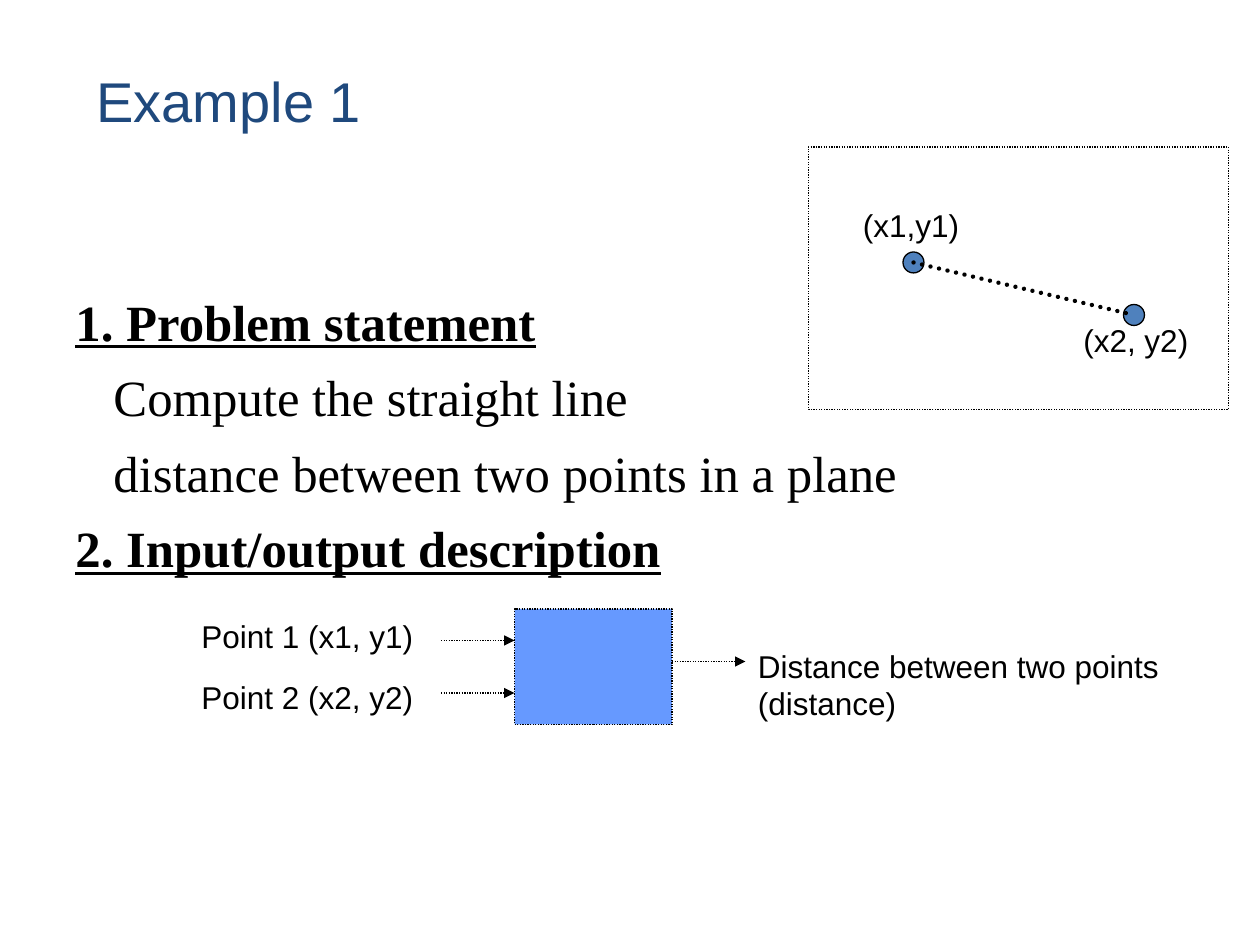
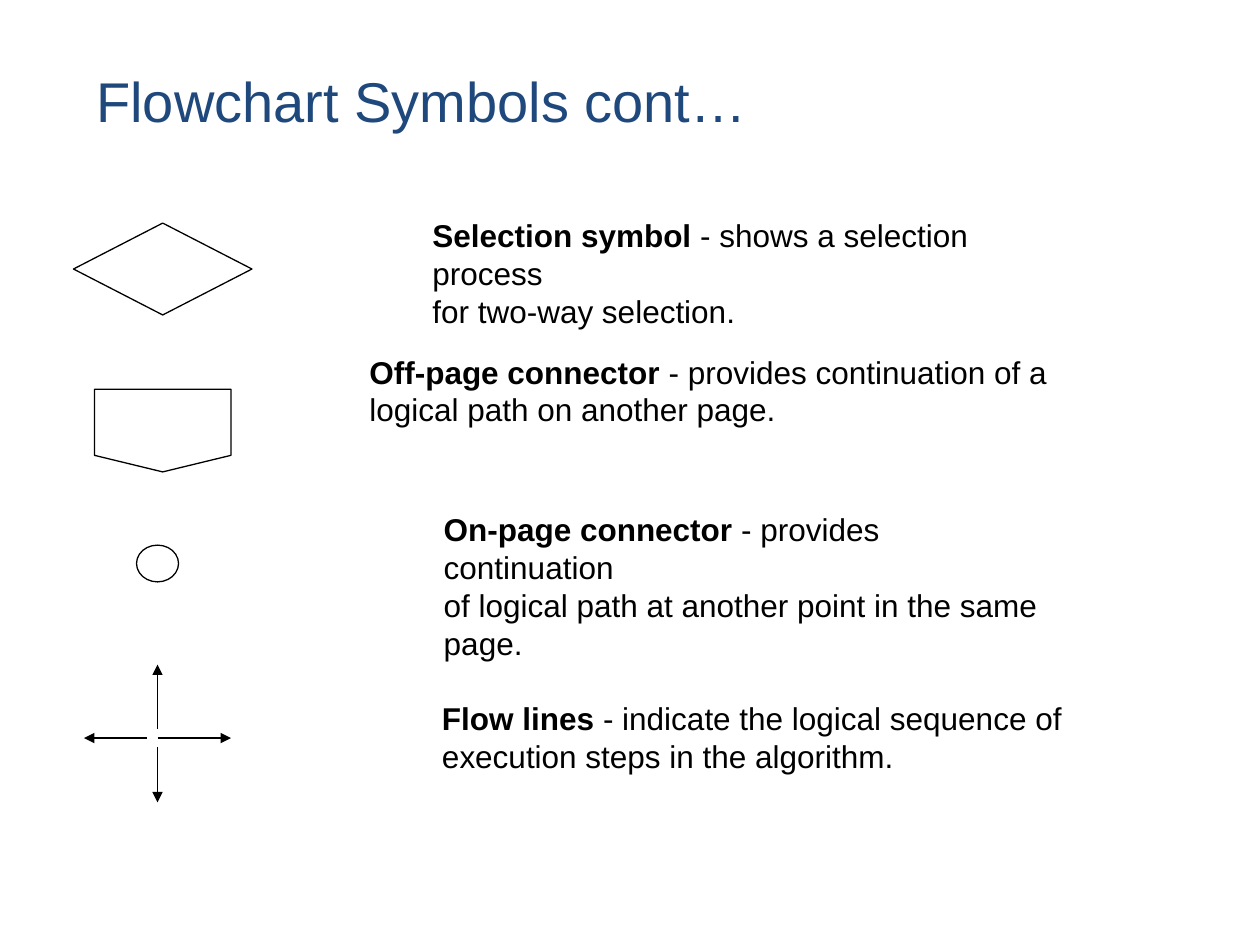
from dataclasses import dataclass

from lxml import etree
from pptx import Presentation
from pptx.dml.color import RGBColor
from pptx.enum.dml import MSO_LINE
from pptx.enum.shapes import MSO_CONNECTOR, MSO_SHAPE
from pptx.enum.text import MSO_ANCHOR
from pptx.oxml.ns import qn
from pptx.util import Pt

RECTANGLE, OVAL = MSO_SHAPE.RECTANGLE, MSO_SHAPE.OVAL
DECISION = MSO_SHAPE.FLOWCHART_DECISION
OFF_PAGE = MSO_SHAPE.FLOWCHART_OFFPAGE_CONNECTOR
ON_PAGE = MSO_SHAPE.FLOWCHART_CONNECTOR
STRAIGHT = MSO_CONNECTOR.STRAIGHT
DOTTED = MSO_LINE.ROUND_DOT
MIDDLE = MSO_ANCHOR.MIDDLE


@dataclass(frozen=True)
class Theme:
    title: str = "1F497D"
    ink: str = "000000"
    paper: str = "FFFFFF"
    process: str = "6699FF"
    point: str = "4F81BD"
    sans: str = "Arial"
    serif: str = "Times New Roman"
    title_size: float = 32
    body_size: float = 29
    label_size: float = 18
    thin: float = 0.75
    thick: float = 2.5


THEME = Theme()
TITLE_STYLE = {"name": THEME.sans, "size": Pt(THEME.title_size)}
LABEL_STYLE = {"name": THEME.sans, "size": Pt(THEME.label_size)}
BODY_STYLE = {"name": THEME.serif, "size": Pt(THEME.body_size)}
HEADING_STYLE = {**BODY_STYLE, "bold": True, "underline": True}
TERM_STYLE = {**LABEL_STYLE, "bold": True}

# Boxes are (left, top, width, height) in points.
SLIDE_SIZE = (720, 540)
TITLE_BOX = (48, 18, 642, 78)

EXAMPLE_TITLE = "Example 1"
STATEMENT_BOX = (36, 159, 669, 324)
STATEMENT_INDENT = 21.75
STATEMENT_GAP = 8.4
STATEMENT = [
    ("1. Problem statement", True),
    ("Compute the straight line", False),
    ("distance between two points in a plane", False),
    ("2. Input/output description", True),
]
PROCESS_BOX = (294, 348, 90, 66)
ARROW_LENGTH = 42
INPUTS = [  # text, label top, arrow height
    ("Point 1 (x1, y1)", 349, 366),
    ("Point 2 (x2, y2)", 384, 396),
]
OUTPUT = ("Distance between two points (distance)", 366, 378)

PLANE_BOX = (462, 84, 240, 150)
POINT_DIAMETER = 12
POINTS = [  # label, label corner, centre
    ("(x1,y1)", (486, 114), (522, 150)),
    ("(x2, y2)", (612, 180), (648, 180)),
]

SYMBOLS_TITLE = "Flowchart Symbols cont…"
SYMBOLS = [
    (DECISION, (42, 127.5, 102, 52.5)),
    (OFF_PAGE, (54, 222.4, 78, 47.25)),
    (ON_PAGE, (78, 311.5, 24, 21)),
]
FLOW_LINES = [
    ((90, 416.5), (90, 379.75)),
    ((90, 421.75), (132, 421.75)),
    ((90, 427), (90, 458.5)),
    ((83.75, 421.75), (48, 421.75)),
]
DESCRIPTIONS = [  # box, wraps, term, lines
    ((240, 120, 388, 50.5), False, "Selection symbol",
     [" - shows a selection process", "for two-way selection."]),
    ((204, 198, 450, 50.5), True, "Off-page connector",
     [" - provides continuation of a logical path on another page."]),
    ((246.5, 288, 365, 72), False, "On-page connector",
     [" - provides continuation", "of logical path at another point in the same", "page."]),
    ((245.5, 396, 369, 50.5), False, "Flow lines",
     [" - indicate the logical sequence of", "execution steps in the algorithm."]),
]


def points(values):
    return [Pt(value) for value in values]


def assign(target, values):
    for name, value in values.items():
        setattr(target, name, value)


def add_text(slide, box, paragraphs, color=THEME.ink, **frame_format):
    """Add a text box; each paragraph is a list of (text, font style) runs."""
    frame = slide.shapes.add_textbox(*points(box)).text_frame
    assign(frame, {"word_wrap": True, **frame_format})
    for index, runs in enumerate(paragraphs):
        paragraph = frame.add_paragraph() if index else frame.paragraphs[0]
        for text, style in runs:
            run = paragraph.add_run()
            run.text = text
            assign(run.font, style)
            run.font.color.rgb = RGBColor.from_string(color)
    return frame


def add_label(slide, box, text):
    add_text(slide, box, [[(text, LABEL_STYLE)]])


def style_line(line, width, dash):
    line.color.rgb = RGBColor.from_string(THEME.ink)
    assign(line, {"width": Pt(width), "dash_style": dash})


def add_figure(slide, kind, box, fill=None, dash=None):
    figure = slide.shapes.add_shape(kind, *points(box))
    figure.shadow.inherit = False
    if fill:
        figure.fill.solid()
        figure.fill.fore_color.rgb = RGBColor.from_string(fill)
    else:
        figure.fill.background()
    style_line(figure.line, THEME.thin, dash)


def add_line(slide, start, end, width=THEME.thin, dash=None, arrow=True):
    connector = slide.shapes.add_connector(STRAIGHT, *points(start + end))
    style_line(connector.line, width, dash)
    properties = connector._element.spPr
    outline = properties.find(qn("a:ln"))
    if arrow:
        etree.SubElement(outline, qn("a:tailEnd"), type="triangle")
    else:
        outline.set("cap", "rnd")
    etree.SubElement(properties, qn("a:effectLst"))


def add_titled_slide(deck, title):
    slide = deck.slides.add_slide(deck.slide_layouts[6])
    add_text(slide, TITLE_BOX, [[(title, TITLE_STYLE)]], THEME.title,
             vertical_anchor=MIDDLE)
    return slide


def add_statement(slide):
    paragraphs = [[(text, HEADING_STYLE if heading else BODY_STYLE)]
                  for text, heading in STATEMENT]
    frame = add_text(slide, STATEMENT_BOX, paragraphs, margin_top=Pt(7))
    for index, (paragraph, (_, heading)) in enumerate(zip(frame.paragraphs, STATEMENT)):
        if index:
            paragraph.space_before = Pt(STATEMENT_GAP)
        if not heading:
            paragraph._p.get_or_add_pPr().set("marL", str(Pt(STATEMENT_INDENT)))


def add_input_output(slide):
    left, _, width, _ = PROCESS_BOX
    right = left + width
    add_figure(slide, RECTANGLE, PROCESS_BOX, THEME.process, DOTTED)
    for text, top, height in INPUTS:
        add_line(slide, (left - ARROW_LENGTH, height), (left, height), dash=DOTTED)
        add_label(slide, (108, top, 174, 29), text)
    text, top, height = OUTPUT
    output_left = right + ARROW_LENGTH
    add_line(slide, (right, height), (output_left, height), dash=DOTTED)
    add_label(slide, (output_left, top, 276, 50.5), text)


def add_plane(slide):
    add_figure(slide, RECTANGLE, PLANE_BOX, THEME.paper, DOTTED)
    radius = POINT_DIAMETER / 2
    for text, corner, (x, y) in POINTS:
        add_label(slide, (*corner, 78, 29), text)
        add_figure(slide, OVAL, (x - radius, y - radius, POINT_DIAMETER, POINT_DIAMETER),
                   THEME.point)
    start, end = [centre for _, _, centre in POINTS]
    add_line(slide, start, end, THEME.thick, DOTTED, arrow=False)


def build_example(deck):
    slide = add_titled_slide(deck, EXAMPLE_TITLE)
    add_statement(slide)
    add_input_output(slide)
    add_plane(slide)


def build_symbols(deck):
    slide = add_titled_slide(deck, SYMBOLS_TITLE)
    for kind, box in SYMBOLS:
        add_figure(slide, kind, box)
    for start, end in FLOW_LINES:
        add_line(slide, start, end)
    for box, wraps, term, (first, *rest) in DESCRIPTIONS:
        paragraphs = [[(term, TERM_STYLE), (first, LABEL_STYLE)]]
        paragraphs += [[(line, LABEL_STYLE)] for line in rest]
        add_text(slide, box, paragraphs, word_wrap=wraps)


def main():
    deck = Presentation()
    deck.slide_width, deck.slide_height = points(SLIDE_SIZE)
    build_example(deck)
    build_symbols(deck)
    deck.save("out.pptx")


if __name__ == "__main__":
    main()
